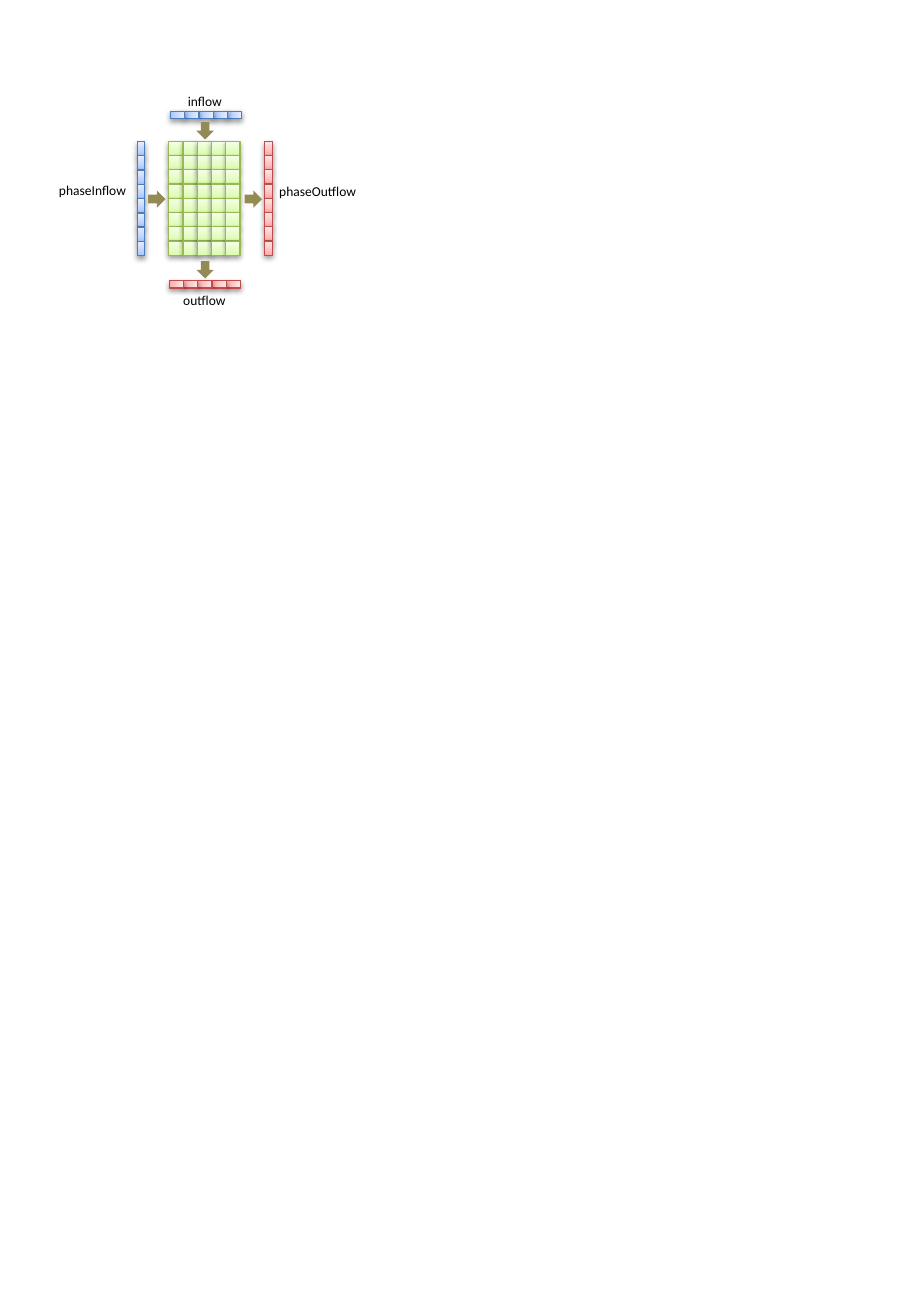
from lxml.etree import SubElement
from pptx import Presentation
from pptx.dml.color import RGBColor
from pptx.enum.shapes import MSO_SHAPE
from pptx.enum.text import MSO_AUTO_SIZE
from pptx.oxml.ns import qn
from pptx.util import Pt

PX = 2286  # EMU, 400 px to the inch
PITCH = 47
BAR = 25
BLACK = RGBColor(0x00, 0x00, 0x00)
OLIVE = RGBColor(0x94, 0x8A, 0x54)
# Line colour, then the three gradient stops
BLUE = [RGBColor(0x4B, 0x7E, 0xBC), RGBColor(0xA4, 0xC4, 0xFF),
        RGBColor(0xBF, 0xD4, 0xFF), RGBColor(0xE6, 0xEE, 0xFF)]
RED = [RGBColor(0xBF, 0x4C, 0x48), RGBColor(0xFF, 0xA6, 0xA5),
       RGBColor(0xFF, 0xC0, 0xBF), RGBColor(0xFF, 0xE7, 0xE7)]
GREEN = [RGBColor(0x98, 0xB9, 0x55), RGBColor(0xDA, 0xFD, 0xA7),
         RGBColor(0xE4, 0xFC, 0xC2), RGBColor(0xF5, 0xFF, 0xE7)]


def add_node(parent, tag, **values):
    return SubElement(parent, qn(tag), {key: str(value) for key, value in values.items()})


def style_cell(cell, colours):
    line_colour, *stops = colours
    cell.line.color.rgb = line_colour
    cell.line.width = Pt(0.75)

    # Gradient goes in ahead of the line
    properties = cell.fill._xPr
    gradient = add_node(properties, "a:gradFill", rotWithShape=1)
    stop_list = add_node(gradient, "a:gsLst")
    for position, colour in zip((0, 35000, 100000), stops):
        stop = add_node(stop_list, "a:gs", pos=position)
        add_node(stop, "a:srgbClr", val=colour)
    add_node(gradient, "a:lin", ang=16200000, scaled=1)
    properties.find(qn("a:ln")).addprevious(gradient)

    # Soft shadow below the cell
    effects = add_node(properties, "a:effectLst")
    shadow = add_node(effects, "a:outerShdw", blurRad=Pt(3.1), dist=Pt(1.6),
                      dir=5400000, rotWithShape=0)
    black = add_node(shadow, "a:srgbClr", val=BLACK)
    add_node(black, "a:alpha", val=38000)


deck = Presentation()
deck.slide_width = 3000 * PX
deck.slide_height = 4332 * PX
page = deck.slides.add_slide(deck.slide_layouts[6])

# Cell strips and the grid: left, top, columns, rows, step, cell width, rotation, colours
strips = [
    (452, 466, 1, 8, PITCH, BAR, 0, BLUE),
    (872, 465, 1, 8, PITCH, BAR, 0, RED),
    (556, 465, 5, 8, PITCH, PITCH, 0, GREEN),
    (756, 912, 5, 1, -PITCH, BAR, 90, RED),
    (760, 355, 5, 1, -PITCH, BAR, 90, BLUE),
]
for left, top, columns, rows, step, width, rotation, colours in strips:
    group = page.shapes.add_group_shape()
    for column in range(columns):
        for row in range(rows):
            cell = group.shapes.add_shape(
                MSO_SHAPE.RECTANGLE, (left + column * step) * PX,
                (top + row * PITCH) * PX, width * PX, PITCH * PX)
            cell.rotation = rotation
            style_cell(cell, colours)

# Flow arrows: left, top, rotation
for left, top, rotation in [(488, 627, 0), (806, 627, 0), (647, 860, 90), (647, 402, 90)]:
    arrow = page.shapes.add_shape(MSO_SHAPE.RIGHT_ARROW, left * PX, top * PX, 57 * PX, 57 * PX)
    arrow.rotation = rotation
    arrow.shadow.inherit = False
    arrow.fill.solid()
    arrow.fill.fore_color.rgb = OLIVE
    arrow.line.fill.background()

# Labels: text, left, top, width
labels = [
    ("inflow", 579, 287, 196),
    ("outflow", 564, 943, 224),
    ("phaseInflow", 155, 580, 304),
    ("phaseOutflow", 880, 583, 340),
]
font_format = {"name": "Calibri", "size": Pt(8)}
for text, left, top, width in labels:
    box = page.shapes.add_textbox(left * PX, top * PX, width * PX, 94 * PX)
    box.text_frame.word_wrap = False
    box.text_frame.auto_size = MSO_AUTO_SIZE.SHAPE_TO_FIT_TEXT
    span = box.text_frame.paragraphs[0].add_run()
    span.text = text
    for key, value in font_format.items():
        setattr(span.font, key, value)
    span.font.color.rgb = BLACK

deck.save("out.pptx")
